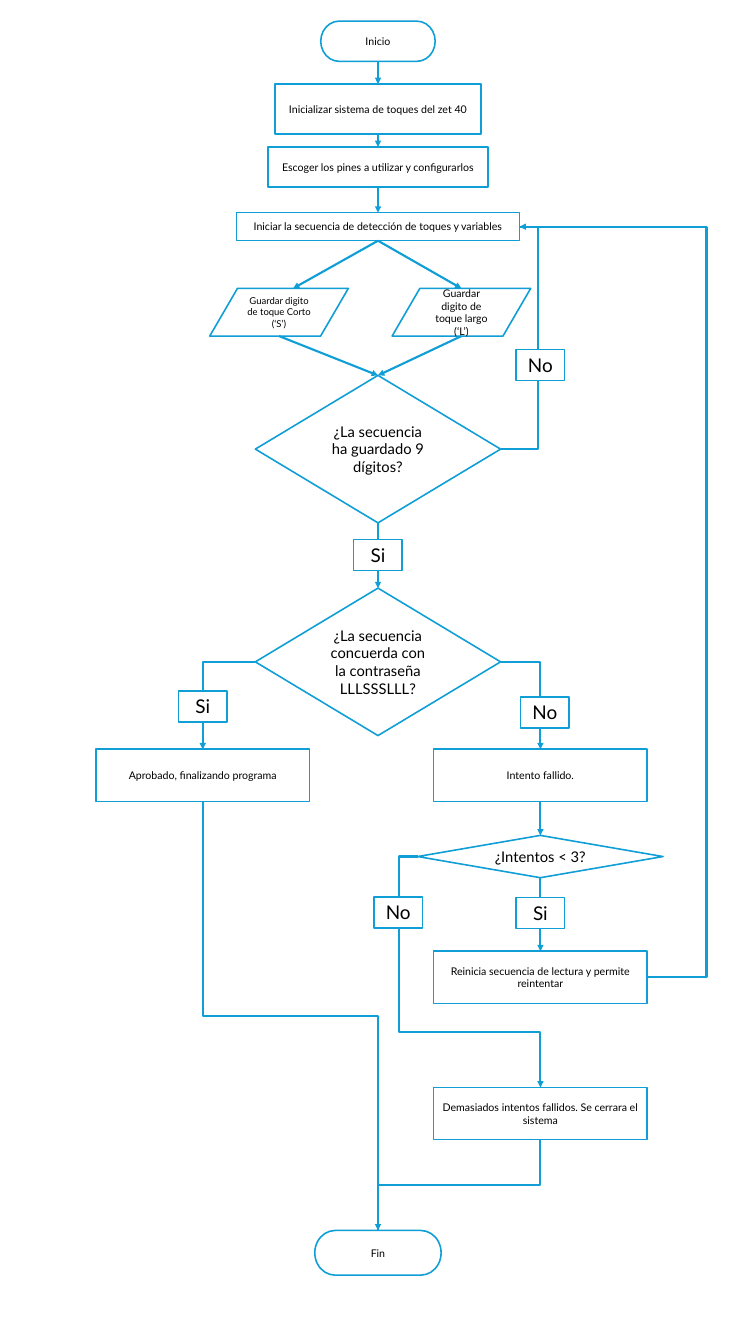
from lxml import etree
from pptx import Presentation
from pptx.dml.color import RGBColor
from pptx.enum.shapes import MSO_CONNECTOR, MSO_SHAPE
from pptx.enum.text import MSO_ANCHOR, PP_ALIGN
from pptx.oxml.ns import qn
from pptx.util import Cm, Pt

BLUE = RGBColor(0x0F, 0x9E, 0xD5)
WHITE = RGBColor(0xFF, 0xFF, 0xFF)
BLACK = RGBColor(0, 0, 0)
PROCESS = MSO_SHAPE.FLOWCHART_PROCESS
DECISION = MSO_SHAPE.FLOWCHART_DECISION
TERMINATOR = MSO_SHAPE.FLOWCHART_TERMINATOR
DATA = MSO_SHAPE.FLOWCHART_DATA
STRAIGHT, ELBOW = MSO_CONNECTOR.STRAIGHT, MSO_CONNECTOR.ELBOW
MIDDLE, CENTER = MSO_ANCHOR.MIDDLE, PP_ALIGN.CENTER
TOP, LEFT, BOTTOM, RIGHT = range(4)
PAGE_W, PAGE_H = 25.37, 45.11
STEP_W, STEP_H = 7.16, 1.75
DECISION_W, DECISION_H = 8.23, 4.95
YES_SHIFT, NO_SHIFT = -5.88, 5.45


def node(s, kind, text, cx, top, w, h, size=10.1, inset=0.25):
    """Draw a flowchart shape centred on cx."""
    sp = s.shapes.add_shape(kind, Cm(cx - w / 2), Cm(top), Cm(w), Cm(h))
    sp.shadow.inherit = False
    sp.fill.solid()
    sp.fill.fore_color.rgb = WHITE
    sp.line.color.rgb = BLUE
    sp.line.width = Pt(1.5)
    tf = sp.text_frame
    tf.word_wrap = True
    tf.vertical_anchor = MIDDLE
    tf.margin_left = tf.margin_right = Cm(inset)
    p = tf.paragraphs[0]
    p.text = text
    p.alignment = CENTER
    p.font.name = "Lato"
    p.font.size = Pt(size)
    p.font.color.rgb = BLACK
    return sp


def step(s, text, cx, top):
    """Draw a process box of the standard size."""
    return node(s, PROCESS, text, cx, top, STEP_W, STEP_H)


def label(s, text, cx, top):
    """Draw a Si or No box over a branch."""
    return node(s, PROCESS, text, cx, top, 1.63, 1.04, 18)


def side(sp, index):
    """Return the middle point of one side of a shape."""
    cx, cy = sp.left + sp.width // 2, sp.top + sp.height // 2
    return ((cx, sp.top), (sp.left, cy), (cx, sp.top + sp.height),
            (sp.left + sp.width, cy))[index]


def connector(s, kind, start, end, arrow=True):
    """Draw a blue connector between two points."""
    c = s.shapes.add_connector(kind, *start, *end)
    c.line.color.rgb = BLUE
    c.line.width = Pt(2)
    if arrow:
        tail = etree.SubElement(c.line._get_or_add_ln(), qn("a:tailEnd"))
        tail.set("type", "triangle")
    etree.SubElement(c._element.spPr, qn("a:effectLst"))
    return c


def link(s, above, below):
    """Join the bottom of one shape to the top of another."""
    c = connector(s, STRAIGHT, side(above, BOTTOM), side(below, TOP))
    c.begin_connect(above, BOTTOM)
    c.end_connect(below, TOP)


def elbow(s, start, end, bends=3, adj=(), arrow=True):
    """Draw a bent connector that leaves sideways."""
    c = connector(s, ELBOW, start, end, arrow)
    geom = c._element.spPr.find(qn("a:prstGeom"))
    geom.set("prst", f"bentConnector{bends}")
    guides = geom.find(qn("a:avLst"))
    for i, value in enumerate(adj, 1):
        gd = etree.SubElement(guides, qn("a:gd"))
        gd.set("name", f"adj{i}")
        gd.set("fmla", f"val {round(value * 100000)}")


def drop(s, start, end, arrow=True):
    """Draw a bent connector that leaves downwards."""
    c = connector(s, ELBOW, start, end, arrow)
    (x1, y1), (x2, y2) = start, end
    w, h = y2 - y1, abs(x2 - x1)
    c.left, c.top = (x1 + x2 - w) // 2, (y1 + y2 - h) // 2
    c.width, c.height = w, h
    xfrm = c._element.spPr.find(qn("a:xfrm"))
    xfrm.set("rot", "5400000")
    xfrm.set("flipH", "0")
    xfrm.set("flipV", "1" if x2 > x1 else "0")


def setup_region(s, left, top, width):
    """Draw the start and set-up steps and return the last one."""
    cx = left + width / 2
    steps = [
        node(s, TERMINATOR, "Inicio", cx, top, 3.84, 1.35),
        node(s, PROCESS, "Inicializar sistema de toques del zet 40", cx, top + 2.11, 6.91, 1.68),
        node(s, PROCESS, "Escoger los pines a utilizar y configurarlos", cx, top + 4.22, 7.39, 1.35),
        node(s, PROCESS, "Iniciar la secuencia de detección de toques y variables", cx, top + 6.43, 9.5, 0.94),
    ]
    for above, below in zip(steps, steps[1:]):
        link(s, above, below)
    return steps[-1]


def capture_region(s, left, top, width, detection):
    """Draw the touch inputs and the digit count check."""
    cx = left + width / 2
    check = node(s, DECISION, "¿La secuencia ha guardado 9 dígitos?", cx, top + 2.92,
                 DECISION_W, DECISION_H, 14)
    inputs = (("Guardar digito de toque Corto (‘S’)", -3.32, 9, 0.25, 0.47),
              ("Guardar digito de toque largo (‘L’)", 2.8, 10, 0.35, 0))
    for text, shift, size, inset, tip in inputs:
        sp = node(s, DATA, text, cx + shift, top, 4.65, 1.6, size, inset)
        x, y = side(sp, TOP)
        c = connector(s, STRAIGHT, side(detection, BOTTOM), (x + Cm(tip), y))
        c.begin_connect(detection, BOTTOM)
        c = connector(s, STRAIGHT, side(sp, BOTTOM), side(check, TOP))
        c.end_connect(check, TOP)
    elbow(s, side(check, RIGHT), side(detection, RIGHT), adj=(1.995,))
    label(s, "No", cx + NO_SHIFT, top + 2.05)
    return check


def password_region(s, left, top, width, check):
    """Draw the password check and its two results."""
    cx = left + width / 2
    match = node(s, DECISION, "¿La secuencia concuerda con la contraseña LLLSSSLLL?", cx, top,
                 DECISION_W, DECISION_H, 14)
    link(s, check, match)
    label(s, "Si", cx, top - 1.63)
    approved = step(s, "Aprobado, finalizando programa", cx + YES_SHIFT, top + 5.41)
    failed = step(s, "Intento fallido.", cx + NO_SHIFT, top + 5.41)
    elbow(s, side(match, LEFT), side(approved, TOP), bends=2)
    elbow(s, side(match, RIGHT), side(failed, TOP), bends=2)
    label(s, "Si", cx + YES_SHIFT, top + 3.45)
    label(s, "No", cx + NO_SHIFT + 0.15, top + 3.65)
    return approved, failed


def retry_region(s, left, top, width, failed, detection):
    """Draw the attempt check with its retry and lockout."""
    cx = left + width / 2 + NO_SHIFT
    attempts = node(s, DECISION, "¿Intentos < 3?", cx, top, DECISION_W, 1.42, 14)
    retry = step(s, "Reinicia secuencia de lectura y permite reintentar", cx, top + 3.89)
    lockout = step(s, "Demasiados intentos fallidos. Se cerrara el sistema", cx, top + 8.46)
    link(s, failed, attempts)
    link(s, attempts, retry)
    elbow(s, side(retry, RIGHT), side(detection, RIGHT), adj=(-0.466,), arrow=False)
    elbow(s, side(attempts, LEFT), side(lockout, TOP), bends=4, adj=(-0.154, 0.761))
    label(s, "Si", cx, top + 2.08)
    label(s, "No", cx - 4.77, top + 2.06)
    return lockout


def end_region(s, left, top, width, approved, lockout):
    """Draw the end and the two routes into it."""
    end = node(s, TERMINATOR, "Fin", left + width / 2, top, 4.24, 1.5)
    drop(s, side(approved, BOTTOM), side(end, TOP))
    drop(s, side(lockout, BOTTOM), side(end, TOP), arrow=False)


def main():
    """Build the flowchart slide and save it."""
    prs = Presentation()
    prs.slide_width, prs.slide_height = Cm(PAGE_W), Cm(PAGE_H)
    s = prs.slides.add_slide(prs.slide_layouts[6])
    detection = setup_region(s, 0, 0.71, PAGE_W)
    check = capture_region(s, 0, 9.68, PAGE_W, detection)
    approved, failed = password_region(s, 0, 19.74, PAGE_W, check)
    lockout = retry_region(s, 0, 28.04, PAGE_W, failed, detection)
    end_region(s, 0, 41.3, PAGE_W, approved, lockout)
    prs.save("out.pptx")


if __name__ == "__main__":
    main()
